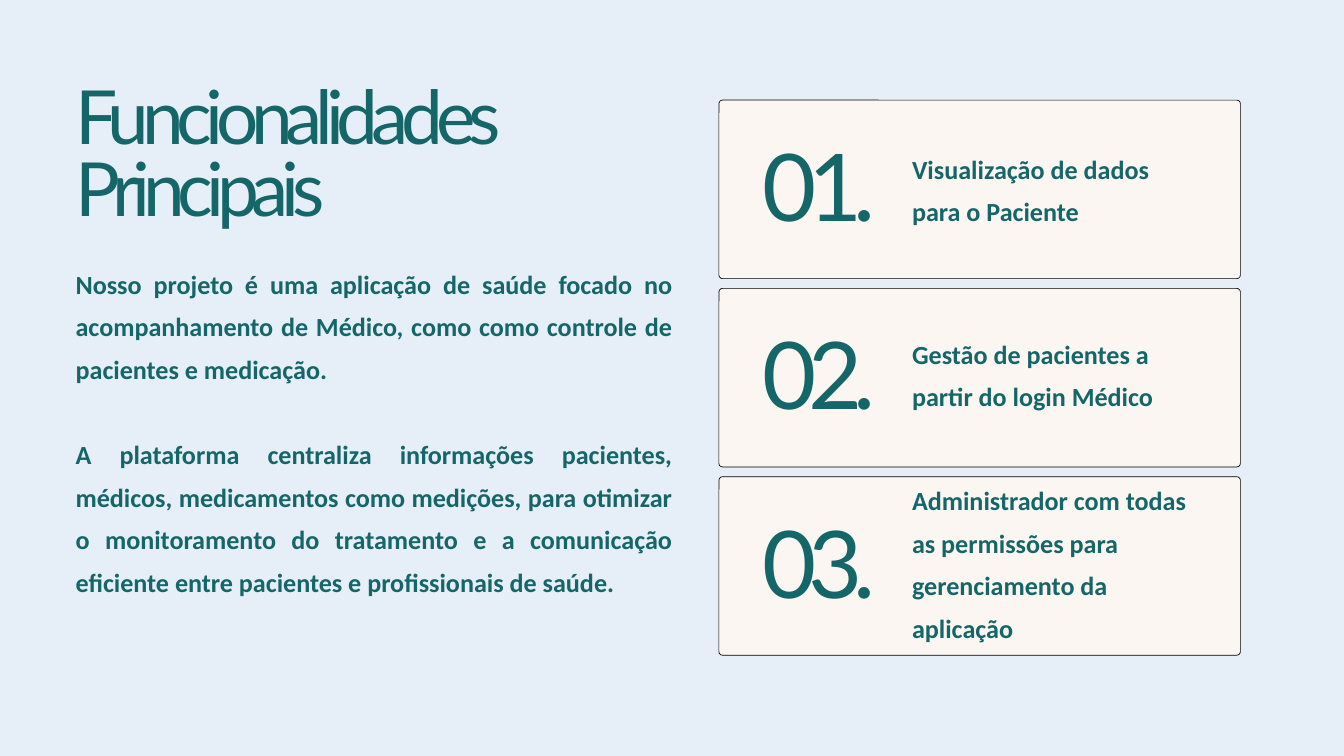
from pptx import Presentation
from pptx.dml.color import RGBColor
from pptx.enum.shapes import MSO_SHAPE as SHAPE
from pptx.enum.text import MSO_ANCHOR as ANCHOR, MSO_AUTO_SIZE as AUTO, PP_ALIGN as ALIGN
from pptx.util import Emu, Pt

TEAL = RGBColor(0x15, 0x66, 0x69)
CREAM = RGBColor(0xFB, 0xF6, 0xF1)
SKY = RGBColor(0xE6, 0xEE, 0xF7)
BLACK = RGBColor(0, 0, 0)


def px(n):
    return Emu(n * 9525)


def write(sp, *texts, font="Calibri", size=28, bold=True, line=45.6,
          gap=0, spc=0, align=ALIGN.LEFT):
    tf = sp.text_frame
    tf.word_wrap = True
    tf.auto_size = AUTO.NONE
    tf.vertical_anchor = ANCHOR.TOP
    tf.margin_left = tf.margin_right = tf.margin_top = tf.margin_bottom = 0
    for i, text in enumerate(texts):
        p = tf.add_paragraph() if i else tf.paragraphs[0]
        p.alignment = align
        p.line_spacing = Pt(line)
        p.space_before = Pt(gap if i else 0)
        r = p.add_run()
        r.text = text
        r.font.name = font
        r.font.size = Pt(size)
        r.font.bold = bold
        r.font.color.rgb = TEAL
        if spc:
            r.font._element.set("spc", str(spc))


prs = Presentation()
prs.slide_width, prs.slide_height = px(1920), px(1080)
s = prs.slides.add_slide(prs.slide_layouts[5])
s.background.fill.solid()
s.background.fill.fore_color.rgb = SKY

title = s.shapes.title
title.left, title.top, title.width, title.height = px(108), px(126), px(832), px(211)
write(title, "Funcionalidades Principais",
      font="Lato", size=80, bold=False, line=76.8, spc=-770)

body = s.shapes.add_textbox(px(108), px(367), px(852), px(545))
write(body,
      "Nosso projeto é uma aplicação de saúde focado no acompanhamento de Médico, "
      "como como controle de pacientes e medicação.",
      "A plataforma centraliza informações pacientes, médicos, medicamentos como "
      "medições, para otimizar o monitoramento do tratamento e a comunicação "
      "eficiente entre pacientes e profissionais de saúde.",
      gap=45.6, align=ALIGN.JUSTIFY)

features = [
    ("Visualização de dados para o Paciente", 203, 125),
    ("Gestão de pacientes a partir do login Médico", 467, 125),
    ("Administrador com todas as permissões para gerenciamento da aplicação", 676, 245),
]
for i, (text, label_top, label_height) in enumerate(features):
    top = 143 + 269 * i
    card = s.shapes.add_shape(SHAPE.ROUNDED_RECTANGLE, px(1027), px(top), px(745), px(255))
    card.adjustments[0] = 0.02
    card.shadow.inherit = False
    card.fill.solid()
    card.fill.fore_color.rgb = CREAM
    card.line.color.rgb = BLACK
    card.line.width = Pt(0.75)

    number = s.shapes.add_textbox(px(1090), px(top + 72), px(192), px(136))
    write(number, f"{i + 1:02}.", font="Lato", size=100, bold=False, line=96, spc=-960)

    label = s.shapes.add_textbox(px(1303), px(label_top), px(414), px(label_height))
    write(label, text)

prs.save("out.pptx")
